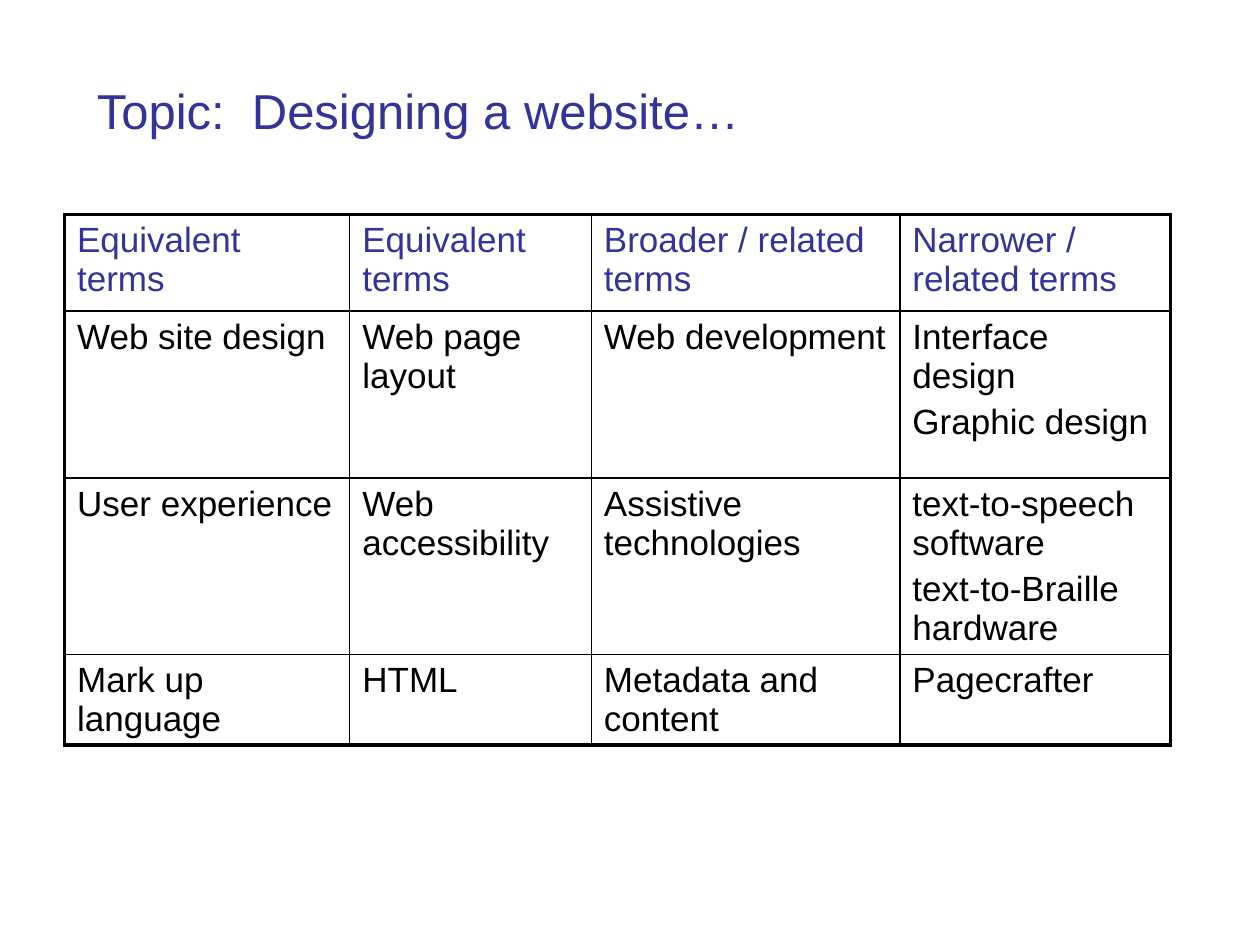
import dataclasses

import lxml.etree
import pptx
import pptx.dml.color
import pptx.enum.text
import pptx.oxml.ns
import pptx.util

Cm = pptx.util.Cm
Pt = pptx.util.Pt


@dataclasses.dataclass(frozen=True)
class Theme:
    font: str = "Arial"
    accent: str = "333399"
    ink: str = "000000"
    background: str = "FFFFFF"
    title_size: float = 28
    table_size: float = 20
    outer_line: float = 2.25
    inner_line: float = 1


COLUMN_WIDTHS = (5.75, 4.87, 6.22, 5.45)
ROW_HEIGHTS = (1.95, 3.37, 3.55, 1.83)
TERMS = (
    ("Equivalent terms", "Equivalent terms", "Broader / related terms",
     "Narrower / related terms"),
    ("Web site design", "Web page layout", "Web development",
     "Interface design\nGraphic design"),
    ("User experience", "Web accessibility", "Assistive technologies",
     "text-to-speech software\ntext-to-Braille hardware"),
    ("Mark up language", "HTML", "Metadata and content", "Pagecrafter"),
)


def write_text(frame, text, *, font, size, color, line_spacing=1.0):
    """Fill the frame with one paragraph per line, spaced by a fifth of the type size."""
    frame.word_wrap = True
    for index, line in enumerate(text.split("\n")):
        para = frame.add_paragraph() if index else frame.paragraphs[0]
        para.alignment = pptx.enum.text.PP_ALIGN.LEFT
        para.line_spacing = line_spacing
        para.space_before = Pt(size * 0.2)
        span = para.add_run()
        span.text = line
        span.font.name = font
        span.font.size = Pt(size)
        span.font.color.rgb = pptx.dml.color.RGBColor.from_string(color)


def set_borders(cell, widths, color):
    """Draw the cell's sides; widths maps L, R, T and B, in that order, to points."""
    properties = cell._tc.get_or_add_tcPr()
    qn = pptx.oxml.ns.qn
    for index, (side, width) in enumerate(widths.items()):
        line = lxml.etree.Element(qn(f"a:ln{side}"), w=str(Pt(width)))
        fill = lxml.etree.SubElement(line, qn("a:solidFill"))
        lxml.etree.SubElement(fill, qn("a:srgbClr"), val=color)
        properties.insert(index, line)


class SlideBuilder:
    """Holds the theme and the slide being filled."""

    def __init__(self, deck, theme):
        self.theme = theme
        self.page = deck.slides.add_slide(deck.slide_layouts[5])
        fill = self.page.background.fill
        fill.solid()
        fill.fore_color.rgb = pptx.dml.color.RGBColor.from_string(theme.background)

    def add_title(self, text, left, top, width, height):
        box = self.page.shapes.title
        box.left, box.top = Cm(left), Cm(top)
        box.width, box.height = Cm(width), Cm(height)
        frame = box.text_frame
        frame.auto_size = pptx.enum.text.MSO_AUTO_SIZE.NONE
        frame.vertical_anchor = pptx.enum.text.MSO_ANCHOR.TOP
        write_text(frame, text, font=self.theme.font, size=self.theme.title_size,
                   color=self.theme.accent, line_spacing=0.8)

    def add_table(self, rows, left, top, column_widths, row_heights):
        theme = self.theme
        last_row, last_column = len(rows) - 1, len(column_widths) - 1
        table = self.page.shapes.add_table(
            len(rows), len(column_widths), Cm(left), Cm(top),
            Cm(sum(column_widths)), Cm(sum(row_heights))).table
        table.first_row = table.horz_banding = False
        for column, width in zip(table.columns, column_widths):
            column.width = Cm(width)
        for row, height in zip(table.rows, row_heights):
            row.height = Cm(height)
        for r, texts in enumerate(rows):
            for c, text in enumerate(texts):
                cell = table.cell(r, c)
                cell.fill.background()
                write_text(cell.text_frame, text, font=theme.font,
                           size=theme.table_size,
                           color=theme.ink if r else theme.accent)
                on_edge = {"L": c == 0, "R": c == last_column,
                           "T": r == 0, "B": r == last_row}
                widths = {side: theme.outer_line if edge else theme.inner_line
                          for side, edge in on_edge.items()}
                set_borders(cell, widths, theme.ink)


def main():
    deck = pptx.Presentation()
    deck.slide_width, deck.slide_height = Cm(25.4), Cm(19.05)
    builder = SlideBuilder(deck, Theme())
    builder.add_title("Topic:  Designing a website…", 1.7, 1.73, 21.41, 1.32)
    builder.add_table(TERMS, 1.3, 4.32, COLUMN_WIDTHS, ROW_HEIGHTS)
    deck.save("out.pptx")


if __name__ == "__main__":
    main()
